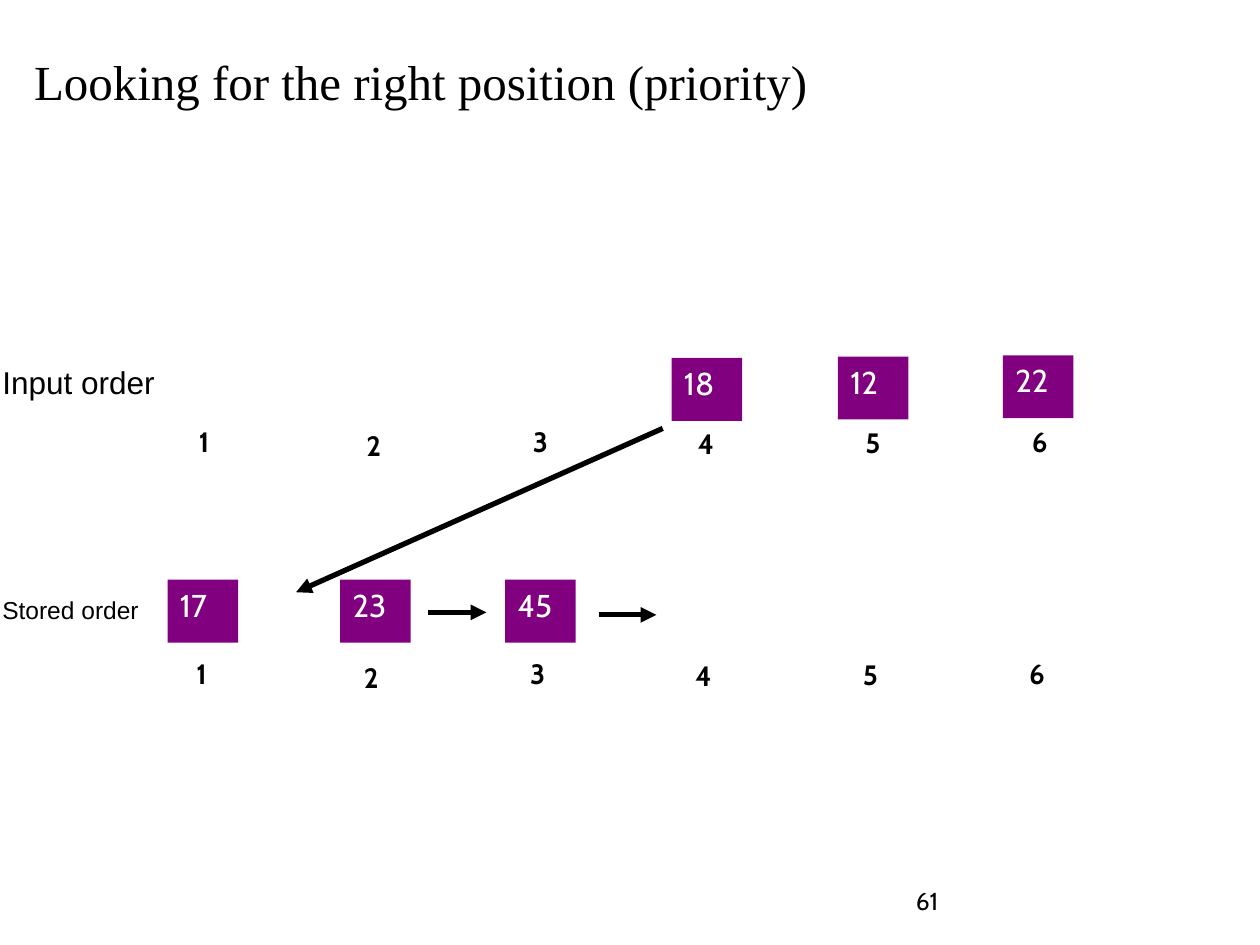
from lxml.etree import SubElement
from pptx import Presentation
from pptx.dml.color import RGBColor
from pptx.enum.shapes import MSO_CONNECTOR, MSO_SHAPE
from pptx.enum.text import MSO_ANCHOR, PP_ALIGN
from pptx.oxml.ns import qn
from pptx.util import Pt

PX = 9144
TITLE = "Looking for the right position (priority)"
BOXES = [
    ("17", 133, 460), ("23", 270, 460), ("45", 401, 460),
    ("18", 533, 284), ("12", 665, 283), ("22", 796, 282),
]
MARKS = [
    ("1", 148, 332), ("2", 281, 335), ("3", 413, 332),
    ("4", 544, 334), ("5", 677, 333), ("6", 809, 332),
]
ROWS = [(0, 0), (-2, 184)]
ARROWS = [(526, 340, 235, 470), (340, 486, 386, 486), (475, 488, 521, 488)]
LABELS = [
    ("Input order", (-8, 283, 142, 40), 18, "Arial", False),
    ("Stored order", (-8, 467, 130, 34), 14, "Arial", False),
    ("61", (717, 698, 233, 52), 14, "Cabin", True),
]


def emu(*vals):
    return [v * PX for v in vals]


def color(code):
    return RGBColor.from_string(code)


def write(shape, text, size, face, code="000000", bold=False, wrap=True):
    frame = shape.text_frame
    frame.text = text
    frame.word_wrap = wrap
    frame.vertical_anchor = MSO_ANCHOR.TOP
    para = frame.paragraphs[0]
    para.alignment = PP_ALIGN.LEFT
    font = para.font
    font.size, font.name, font.bold = Pt(size), face, bold
    font.color.rgb = color(code)


def add_box(slide, text, x, y):
    box = slide.shapes.add_shape(MSO_SHAPE.RECTANGLE, *emu(x, y, 56, 50))
    box.shadow.inherit = False
    box.fill.solid()
    box.fill.fore_color.rgb = color("800080")
    box.line.fill.background()
    write(box, text, 18, "Cabin", "FFFFFF")


def add_label(slide, text, area, size, face, wrap=False, bold=False):
    label = slide.shapes.add_textbox(*emu(*area))
    write(label, text, size, face, bold=bold, wrap=wrap)


def add_arrow(slide, ends):
    arrow = slide.shapes.add_connector(MSO_CONNECTOR.STRAIGHT, *emu(*ends))
    arrow.line.width = Pt(3)
    arrow.line.color.rgb = color("000000")
    SubElement(arrow.line._get_or_add_ln(), qn("a:tailEnd"), type="triangle")
    SubElement(arrow._element.spPr, qn("a:effectLst"))


def main():
    deck = Presentation()
    deck.slide_width, deck.slide_height = emu(1000, 750)
    slide = deck.slides.add_slide(deck.slide_layouts[5])

    title = slide.shapes.title
    title.left, title.top, title.width, title.height = emu(17, 30, 967, 87)
    write(title, TITLE, 28, "Times New Roman")
    title.text_frame.margin_top = 11 * PX

    for box in BOXES:
        add_box(slide, *box)
    for dx, dy in ROWS:
        for text, x, y in MARKS:
            area = (x + dx, y + dy, 31, 37)
            add_label(slide, text, area, 16, "Cabin", bold=True)
    for ends in ARROWS:
        add_arrow(slide, ends)
    for label in LABELS:
        add_label(slide, *label)

    deck.save("out.pptx")


if __name__ == "__main__":
    main()
